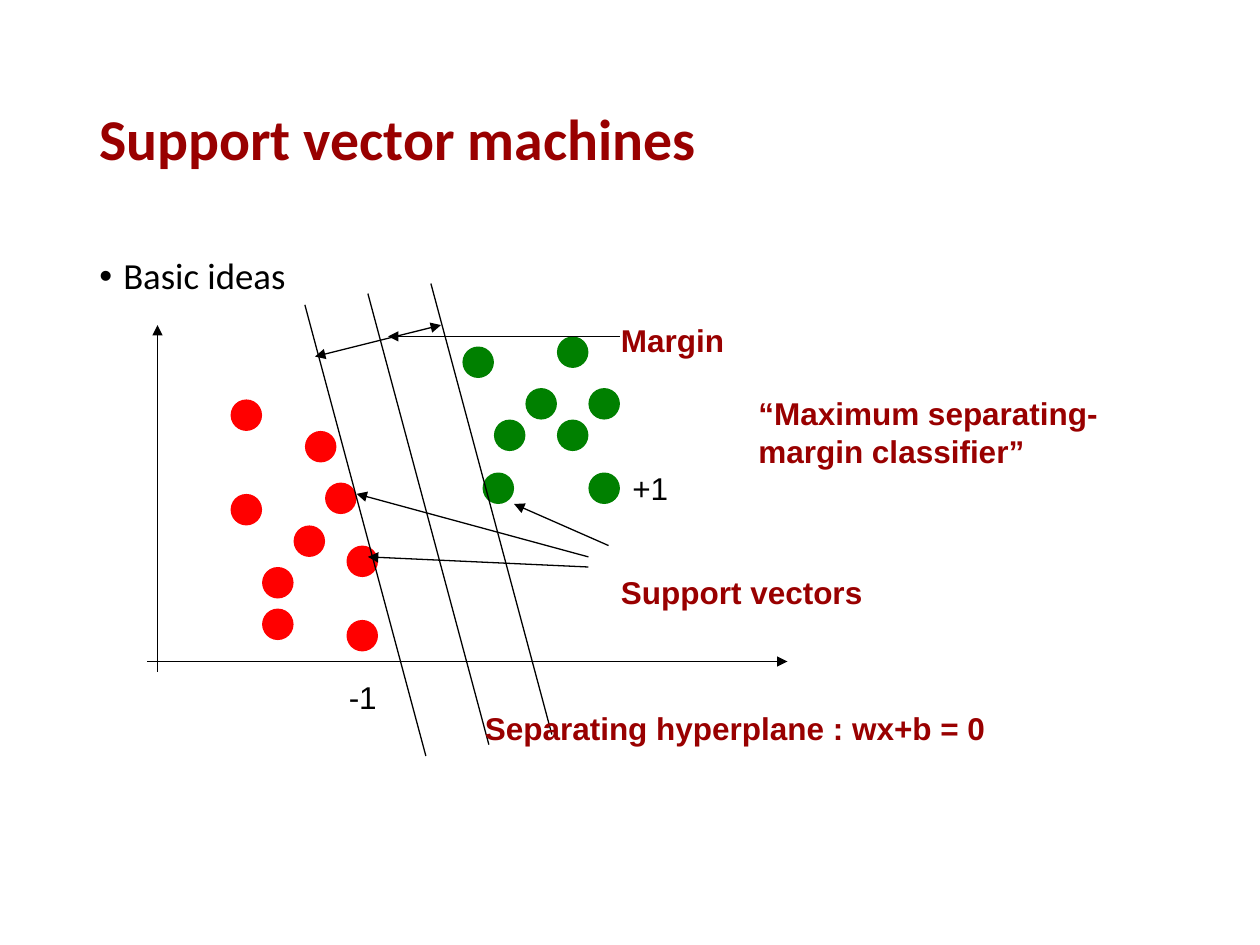
from lxml import etree
from pptx import Presentation
from pptx.dml.color import RGBColor
from pptx.enum.shapes import MSO_CONNECTOR, MSO_SHAPE
from pptx.enum.text import MSO_ANCHOR
from pptx.oxml.ns import qn
from pptx.util import Inches, Pt

STRAIGHT = MSO_CONNECTOR.STRAIGHT
OVAL = MSO_SHAPE.OVAL
TOP, MIDDLE = MSO_ANCHOR.TOP, MSO_ANCHOR.MIDDLE

DARK_RED, BLACK, RED, GREEN = "990000", "000000", "FF0000", "008000"
DOT_SIZE = 0.25

# Left and top of each dot, by class colour
DOTS = {
    RED: [(2.58, 3.83), (2.75, 4.92), (2.08, 4.5), (1.83, 3.92), (2.75, 4.33),
          (2.33, 4.17), (2.08, 4.83), (1.83, 3.17), (2.42, 3.42)],
    GREEN: [(4.42, 2.67), (3.83, 3.75), (3.92, 3.33), (3.67, 2.75),
            (4.17, 3.08), (4.67, 3.08), (4.67, 3.75), (4.42, 3.33)],
}

# Start point, end point
AXES = [((1.25, 5.33), (1.25, 2.58)), ((1.17, 5.25), (6.25, 5.25))]
SUPPORT_ARROWS = [((4.83, 4.33), (4.08, 4)), ((4.67, 4.5), (2.92, 4.42)),
                  ((4.67, 4.42), (2.83, 3.92))]
MARGIN_WIDTH = ((2.5, 2.83), (3.5, 2.58))
MARGIN_POINTER = ((4.92, 2.67), (3.08, 2.67))

# The hyperplane and its two margins are parallel
PLANE_STARTS = [(2.42, 2.42), (2.92, 2.33), (3.42, 2.25)]
PLANE_RUN, PLANE_RISE = 0.96, 3.58

# Text, left, top, width, height
HEADINGS = [
    ("Separating hyperplane : wx+b = 0", 3.75, 5.58, 5.67, 0.4),
    ("Margin", 4.83, 2.5, 3.25, 0.4),
    ("Support vectors", 4.83, 4.5, 3.25, 0.4),
    ("“Maximum separating-margin classifier”", 5.92, 3.08, 3.25, 0.7),
]
CLASS_LABELS = [("+1", 4.92, 3.67, 0.5, 0.4), ("-1", 2.67, 5.33, 0.5, 0.4)]


def color(value):
    return RGBColor.from_string(value)


def add_text(page, text, left, top, width, height, font="Arial", size=18,
             fill=BLACK, bold=False, anchor=TOP, spacing=1.0, bullet=None):
    box = page.shapes.add_textbox(Inches(left), Inches(top),
                                  Inches(width), Inches(height))
    frame = box.text_frame
    frame.word_wrap = True
    frame.vertical_anchor = anchor
    para = frame.paragraphs[0]
    para.line_spacing = spacing
    if bullet:
        props = para._p.get_or_add_pPr()
        props.set("marL", str(Inches(0.19)))
        props.set("indent", str(-Inches(0.19)))
        etree.SubElement(props, qn("a:buFont")).set("typeface", "Arial")
        etree.SubElement(props, qn("a:buChar")).set("char", bullet)
    span = para.add_run()
    span.text = text
    span.font.name = font
    span.font.size = Pt(size)
    span.font.bold = bold
    span.font.color.rgb = color(fill)


def add_dot(page, left, top, fill):
    dot = page.shapes.add_shape(OVAL, Inches(left), Inches(top),
                                Inches(DOT_SIZE), Inches(DOT_SIZE))
    dot.shadow.inherit = False
    dot.fill.solid()
    dot.fill.fore_color.rgb = color(fill)
    dot.line.fill.background()


def add_line(page, start, end, arrows=()):
    line = page.shapes.add_connector(
        STRAIGHT, *(Inches(value) for value in (*start, *end)))
    line.line.color.rgb = color(BLACK)
    line.line.width = Pt(0.75)
    outline = line.line._get_or_add_ln()
    for arrow in arrows:
        etree.SubElement(outline, qn(f"a:{arrow}")).set("type", "triangle")
    etree.SubElement(line._element.spPr, qn("a:effectLst"))


def main():
    deck = Presentation()
    deck.slide_width, deck.slide_height = Inches(10), Inches(7.5)
    page = deck.slides.add_slide(deck.slide_layouts[6])

    # Title and bullet
    add_text(page, "Support vector machines", 0.69, 0.4, 8.63, 1.45,
             font="Calibri", size=33, fill=DARK_RED, bold=True,
             anchor=MIDDLE, spacing=0.9)
    add_text(page, "Basic ideas", 0.69, 2, 8.63, 4.76,
             font="Calibri", size=21, spacing=0.9, bullet="•")

    # Axes and data points
    for start, end in AXES:
        add_line(page, start, end, ["tailEnd"])
    for fill, places in DOTS.items():
        for left, top in places:
            add_dot(page, left, top, fill)

    # Hyperplane with its margins
    for x, y in PLANE_STARTS:
        add_line(page, (x, y), (x + PLANE_RUN, y + PLANE_RISE))

    # Pointers
    for start, end in [*SUPPORT_ARROWS, MARGIN_POINTER]:
        add_line(page, start, end, ["tailEnd"])
    add_line(page, *MARGIN_WIDTH, ["headEnd", "tailEnd"])

    # Labels
    for label in HEADINGS:
        add_text(page, *label, fill=DARK_RED, bold=True)
    for label in CLASS_LABELS:
        add_text(page, *label)

    deck.save("out.pptx")


if __name__ == "__main__":
    main()
